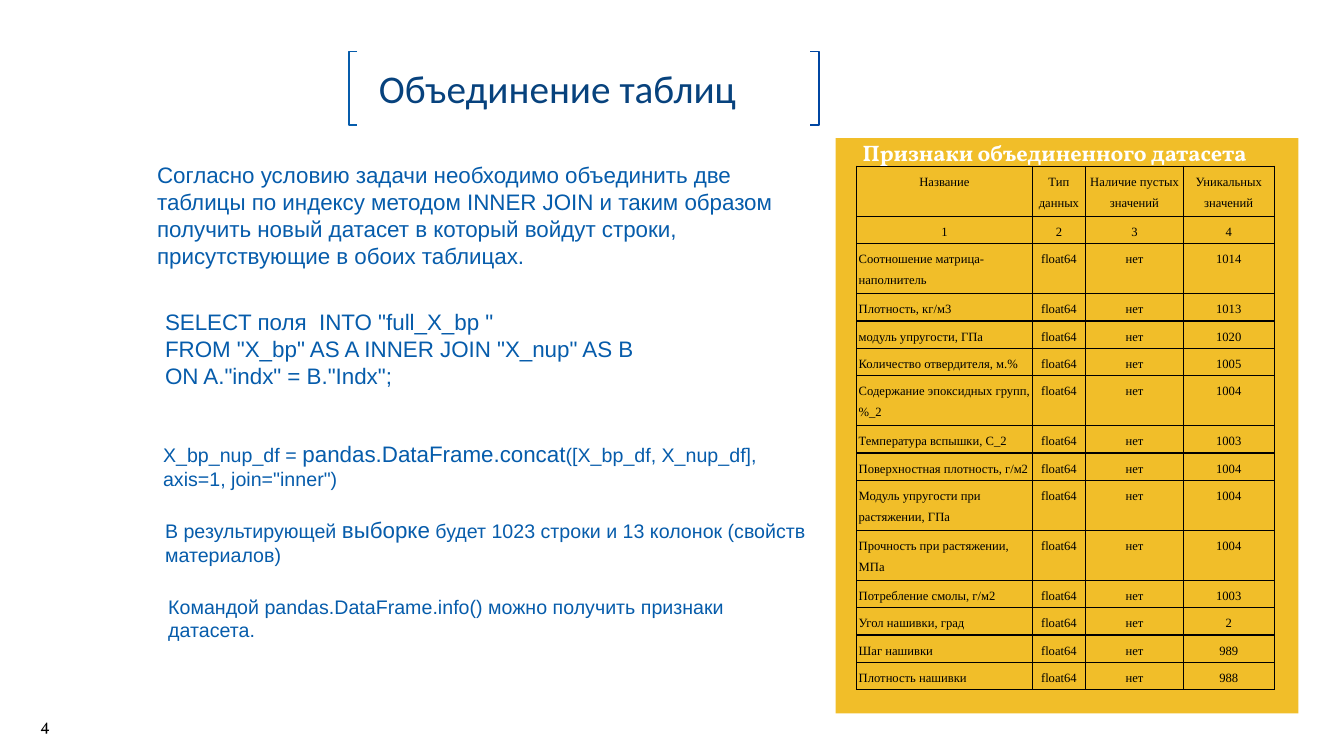
from lxml.etree import SubElement
from pptx import Presentation
from pptx.dml.color import RGBColor
from pptx.enum.shapes import MSO_SHAPE
from pptx.enum.text import MSO_ANCHOR, PP_ALIGN
from pptx.oxml.ns import qn
from pptx.util import Cm, Pt

COLORS = {
    "body": "065CAB",
    "title": "07427D",
    "bracket_left": "065CAB",
    "bracket_right": "0046A2",
    "panel": "F1BE29",
    "white": "FFFFFF",
    "black": "000000",
}


def add_span(para, text, size, color, font="Arial", bold=False):
    span = para.add_run()
    span.text = text
    span.font.size = Pt(size)
    span.font.name = font
    span.font.bold = bold
    span.font.color.rgb = RGBColor.from_string(COLORS[color])


def add_text(page, place, lines, color, font="Arial", wrap=True, anchor=MSO_ANCHOR.TOP):
    box = page.shapes.add_textbox(*[Cm(value) for value in place])
    frame = box.text_frame
    frame.word_wrap = wrap
    frame.vertical_anchor = anchor
    for index, line in enumerate(lines):
        para = frame.add_paragraph() if index else frame.paragraphs[0]
        for text, size in line:
            add_span(para, text, size, color, font)


deck = Presentation()
deck.slide_width = Cm(33.87)
deck.slide_height = Cm(19.05)
page = deck.slides.add_slide(deck.slide_layouts[6])

bracket_top, bracket_bottom = Cm(1.3), Cm(3.15)
for inner, outer, color in [(9, 8.79, "bracket_left"), (20.42, 20.65, "bracket_right")]:
    builder = page.shapes.build_freeform(Cm(inner), bracket_top)
    builder.add_line_segments(
        [(Cm(outer), bracket_top), (Cm(outer), bracket_bottom), (Cm(inner), bracket_bottom)],
        close=False,
    )
    bracket = builder.convert_to_shape()
    bracket.shadow.inherit = False
    bracket.fill.background()
    bracket.line.width = Pt(1.3)
    bracket.line.color.rgb = RGBColor.from_string(COLORS[color])

add_text(page, (9.3, 1.5, 10.82, 1.45), [[("Объединение таблиц", 28)]], "title", "Calibri", wrap=False)
add_text(page, (0.76, 17.88, 1.57, 0.76), [[("4", 12)]], "black", "Vollkorn", anchor=MSO_ANCHOR.MIDDLE)

body_texts = [
    ((3.71, 3.94, 17.27, 3), [[(
        "Согласно условию задачи необходимо объединить две таблицы по индексу методом "
        "INNER JOIN и таким образом получить новый датасет в который войдут строки, "
        "присутствующие в обоих таблицах.", 16)]]),
    ((3.91, 7.65, 17.27, 2.31), [
        [('SELECT поля  INTO "full_X_bp "', 16)],
        [('FROM "X_bp" AS A INNER JOIN "X_nup" AS B', 16)],
        [('ON A."indx" = B."Indx";', 16)],
    ]),
    ((3.86, 10.97, 16.74, 1.55), [[
        ("X_bp_nup_df = ", 14),
        ("pandas.DataFrame.concat", 16),
        ('([X_bp_df, X_nup_df], axis=1, join="inner")', 14),
    ]]),
    ((3.91, 12.88, 16.76, 1.55), [[
        ("В результирующей ", 14),
        ("выборке", 16),
        (" будет 1023 строки и 13 колонок (свойств материалов)", 14),
    ]]),
    ((3.99, 14.86, 16.76, 1.45), [[
        ("Командой pandas.DataFrame.info() можно получить признаки датасета.", 14),
    ]]),
]
for place, lines in body_texts:
    add_text(page, place, lines, "body")

panel = page.shapes.add_shape(MSO_SHAPE.RECTANGLE, Cm(21.06), Cm(3.48), Cm(11.66), Cm(14.5))
panel.shadow.inherit = False
panel.fill.solid()
panel.fill.fore_color.rgb = RGBColor.from_string(COLORS["panel"])
panel.line.fill.background()
frame = panel.text_frame
frame.vertical_anchor = MSO_ANCHOR.TOP
frame.margin_left = Cm(0.68)
frame.margin_right = Cm(0.2)
frame.margin_top = frame.margin_bottom = Cm(0.1)
para = frame.paragraphs[0]
para.alignment = PP_ALIGN.JUSTIFY
para.line_spacing = 0.9
add_span(para, "Признаки объединенного датасета", 16, "white", "Vollkorn", bold=True)

features = [
    ("Соотношение матрица-наполнитель", 1014),
    ("Плотность, кг/м3", 1013),
    ("модуль упругости, ГПа", 1020),
    ("Количество отвердителя, м.%", 1005),
    ("Содержание эпоксидных групп,%_2", 1004),
    ("Температура вспышки, С_2", 1003),
    ("Поверхностная плотность, г/м2", 1004),
    ("Модуль упругости при растяжении, ГПа", 1004),
    ("Прочность при растяжении, МПа", 1004),
    ("Потребление смолы, г/м2", 1003),
    ("Угол нашивки, град", 2),
    ("Шаг нашивки", 989),
    ("Плотность нашивки", 988),
]
header_rows = [
    ("Название", "Тип данных", "Наличие пустых значений", "Уникальных значений"),
    ("1", "2", "3", "4"),
]
rows = header_rows + [(name, "float64", "нет", str(count)) for name, count in features]
tall_rows = {0, 2, 6, 9, 10}
column_widths = [4.42, 1.35, 2.46, 2.29]

table = page.shapes.add_table(
    len(rows), len(column_widths), Cm(21.59), Cm(4.19), Cm(10.52), Cm(13.2)
).table
table.first_row = False
table.horz_banding = False
for column, width in zip(table.columns, column_widths):
    column.width = Cm(width)

for row_index, values in enumerate(rows):
    table.rows[row_index].height = Cm(1.26 if row_index in tall_rows else 0.69)
    for column_index, value in enumerate(values):
        cell = table.cell(row_index, column_index)
        cell.margin_left = cell.margin_right = Cm(0.05)
        cell.margin_top = cell.margin_bottom = Cm(0.05)
        properties = cell._tc.get_or_add_tcPr()
        for side in ("a:lnL", "a:lnR", "a:lnT", "a:lnB"):
            border = SubElement(properties, qn(side), w=str(Pt(1)))
            solid = SubElement(border, qn("a:solidFill"))
            SubElement(solid, qn("a:srgbClr"), val=COLORS["black"])
        cell.fill.background()
        para = cell.text_frame.paragraphs[0]
        is_name = column_index == 0 and row_index >= len(header_rows)
        para.alignment = PP_ALIGN.LEFT if is_name else PP_ALIGN.CENTER
        para.line_spacing = 1.5
        add_span(para, value, 9, "black", "Times New Roman")

deck.save("out.pptx")
